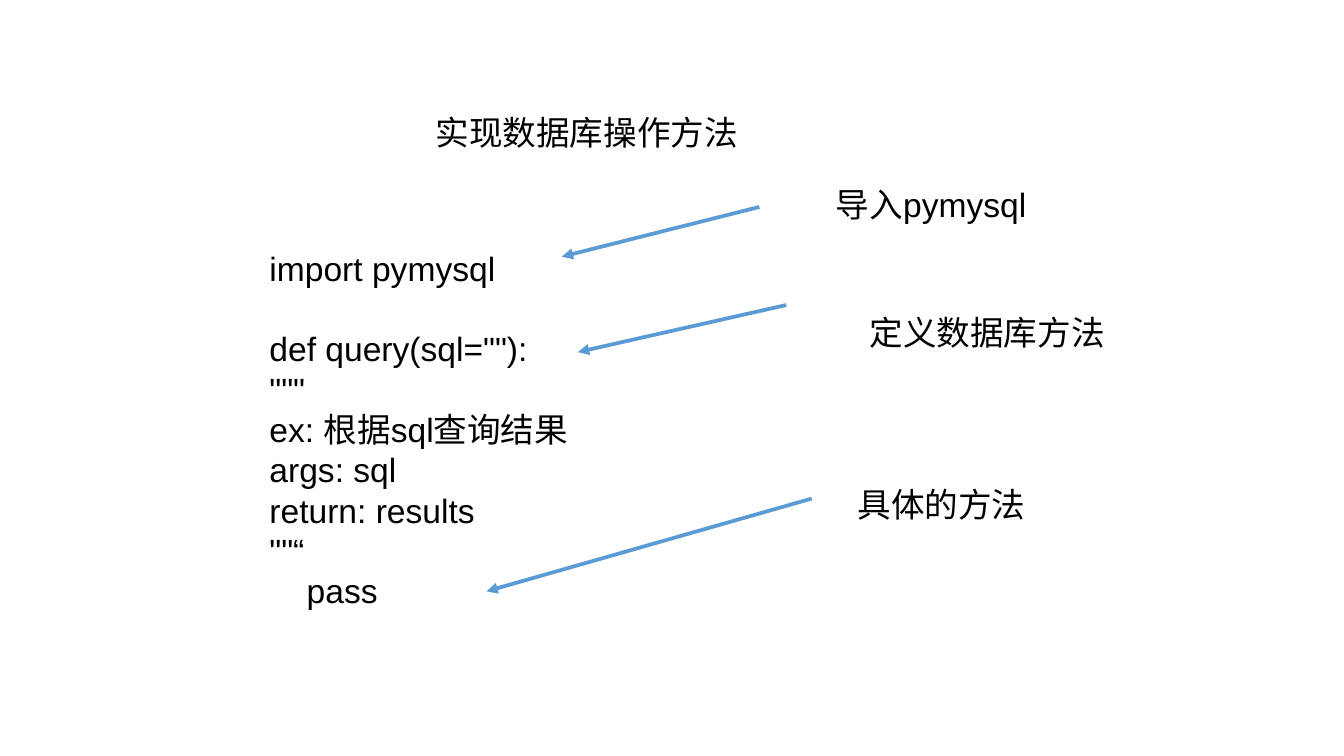
import pptx
import pptx.dml.color
import pptx.enum.shapes
import pptx.enum.text
import pptx.oxml.ns
import pptx.util
import lxml.etree

CELL = 0.1
COLS = 100
ROWS = COLS * 9 / 16
FONT, SIZE, LINE_GAP = "Arial", 18, 21.5
INK, ARROW = "000000", "5B9BD5"

CODE = [
    "import pymysql",
    'def query(sql=""):',
    '"""',
    "ex: 根据sql查询结果",
    "args: sql",
    "return: results",
    '""“',
    "    pass",
]

LABELS = [
    (31.9, 7.85, 23.7, "实现数据库操作方法"),
    (61.7, 13.2, 15.3, "导入pymysql"),
    (64.2, 22.7, 18.7, "定义数据库方法"),
    (63.3, 35.5, 13.6, "具体的方法"),
]

ARROWS = [
    (56.5, 15.4, 41.8, 19.1),
    (58.5, 22.7, 43, 26.2),
    (60.4, 37.1, 36.2, 44),
]


def grid(n):
    return pptx.util.Inches(n * CELL)


def color(target, value):
    target.rgb = pptx.dml.color.RGBColor.from_string(value)


def add_text(s, col, row, cols, rows, lines, gap_before=()):
    sp = s.shapes.add_textbox(*map(grid, (col, row, cols, rows)))
    tf = sp.text_frame
    tf.word_wrap = True
    tf.auto_size = pptx.enum.text.MSO_AUTO_SIZE.SHAPE_TO_FIT_TEXT
    tf.margin_left = tf.margin_right = grid(0.5)
    tf.margin_top = tf.margin_bottom = grid(0.5)
    for i, line in enumerate(lines):
        p = tf.add_paragraph() if i else tf.paragraphs[0]
        if i in gap_before:
            p.space_before = pptx.util.Pt(LINE_GAP)
        r = p.add_run()
        r.text = line
        r.font.name = FONT
        r.font.size = pptx.util.Pt(SIZE)
        color(r.font.color, INK)


def add_arrow(s, *ends):
    kind = pptx.enum.shapes.MSO_CONNECTOR.STRAIGHT
    sp = s.shapes.add_connector(kind, *map(grid, ends))
    sp.line.width = pptx.util.Pt(2)
    sp.line.fill.solid()
    color(sp.line.fill.fore_color, ARROW)
    qn = pptx.oxml.ns.qn
    ln = sp.line._get_or_add_ln()
    lxml.etree.SubElement(ln, qn("a:tailEnd"), type="triangle")
    lxml.etree.SubElement(sp._element.spPr, qn("a:effectLst"))


def main():
    prs = pptx.Presentation()
    prs.slide_width, prs.slide_height = grid(COLS), grid(ROWS)
    s = prs.slides.add_slide(prs.slide_layouts[6])
    add_text(s, 19.55, 17.95, 23.4, 31.3, CODE, gap_before=(1,))
    for arrow in ARROWS:
        add_arrow(s, *arrow)
    for col, row, cols, label in LABELS:
        add_text(s, col, row, cols, 4, [label])
    prs.save("out.pptx")


if __name__ == "__main__":
    main()
